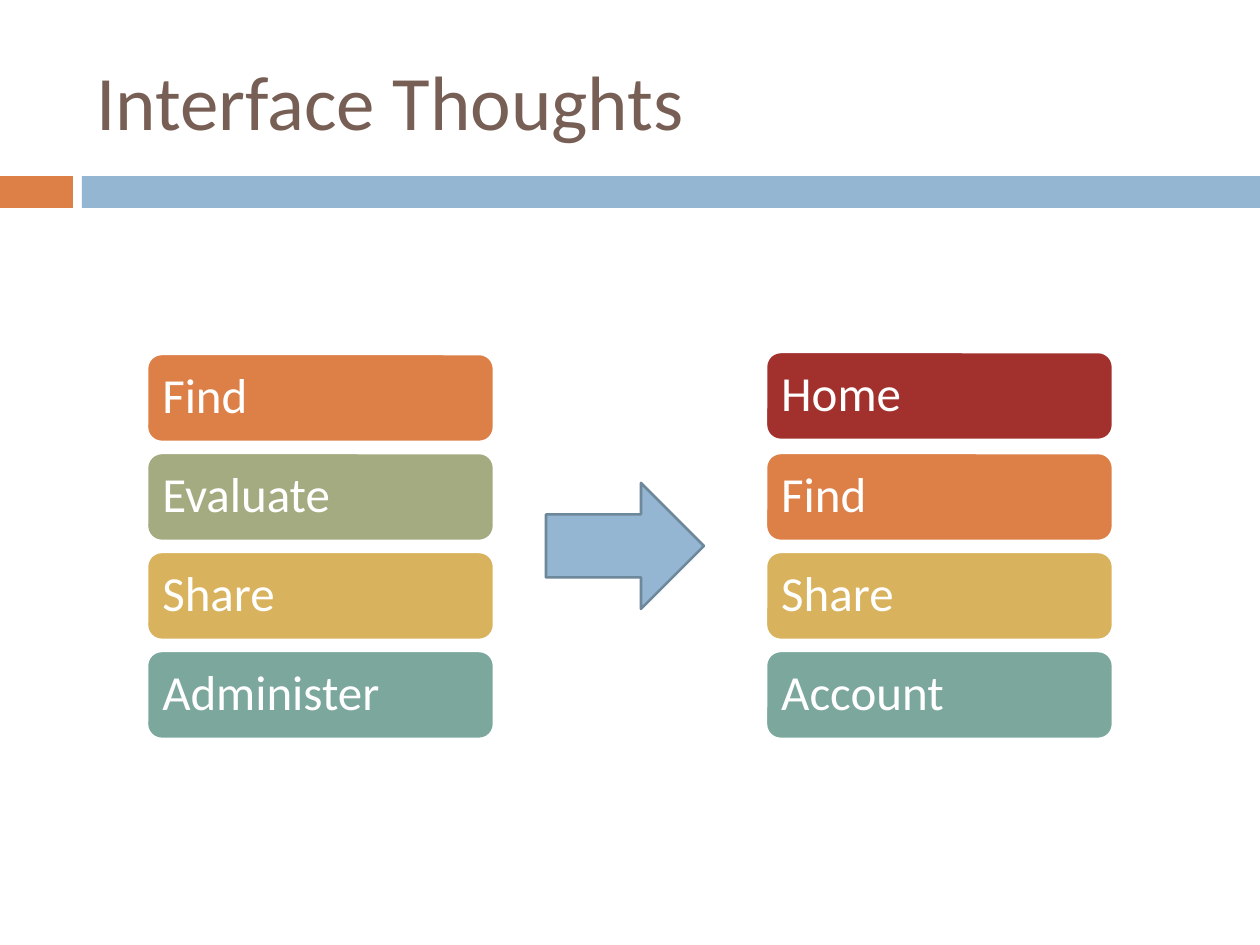
from pptx import Presentation
from pptx.dml.color import RGBColor
from pptx.enum.shapes import MSO_SHAPE
from pptx.enum.text import MSO_ANCHOR, PP_ALIGN
from pptx.util import Emu, Pt

PX = 914400 // 126
COLORS = {
    "orange": "DD8047", "blue": "94B6D2", "slate": "6D879B", "brown": "775F55",
    "green": "A5AB81", "gold": "D8B25C", "teal": "7BA79D", "red": "A2312E",
    "white": "FFFFFF",
}
TITLE = "Interface Thoughts"
BARS = [(0, 73, "orange"), (82, 1178, "blue")]  # left, width, colour
# left edge, then label, colour and vertical nudge of each box
COLUMNS = [
    (147, [("Find", "orange", 0), ("Evaluate", "green", 0),
           ("Share", "gold", 0), ("Administer", "teal", 0)]),
    (766, [("Home", "red", -2), ("Find", "orange", 0),
           ("Share", "gold", 0), ("Account", "teal", 0)]),
]
BOX_TOP, BOX_W, BOX_H, BOX_PITCH, BOX_INSET = 354, 347, 88, 99, 11


def rgb(name):
    return RGBColor.from_string(COLORS[name])


def add_block(slide, kind, box, fill, line=None):
    s = slide.shapes.add_shape(kind, *(Emu(v * PX) for v in box))
    s.shadow.inherit = False
    s.fill.solid()
    s.fill.fore_color.rgb = rgb(fill)
    if line:
        s.line.color.rgb = rgb(line)
        s.line.width = Pt(1.5)
    else:
        s.line.fill.background()
    return s


def write(s, text, size, color, line_spacing=1.0):
    tf = s.text_frame
    tf.word_wrap = True
    tf.vertical_anchor = MSO_ANCHOR.MIDDLE
    p = tf.paragraphs[0]
    p.alignment = PP_ALIGN.LEFT
    p.line_spacing = line_spacing
    r = p.add_run()
    r.text = text
    for name, value in {"name": "Calibri", "size": Pt(size)}.items():
        setattr(r.font, name, value)
    r.font.color.rgb = rgb(color)
    return tf


def main():
    prs = Presentation()
    prs.slide_width, prs.slide_height = Emu(1260 * PX), Emu(945 * PX)
    slide = prs.slides.add_slide(prs.slide_layouts[6])

    for left, width, color in BARS:
        add_block(slide, MSO_SHAPE.RECTANGLE, (left, 176, width, 32), color)

    title = slide.shapes.add_textbox(*(Emu(v * PX) for v in (84, 32, 1208 - 84 + 84 - 0 - 0 - 0, 136)))
    title.width = Emu(1124 * PX)
    write(title, TITLE, 44, "brown")

    for left, boxes in COLUMNS:
        for row, (label, color, nudge) in enumerate(boxes):
            top = BOX_TOP + row * BOX_PITCH + nudge
            s = add_block(slide, MSO_SHAPE.ROUNDED_RECTANGLE,
                          (left, top, BOX_W, BOX_H), color, "white")
            tf = write(s, label, 28, "white", 0.9)
            for side in ("left", "top", "right", "bottom"):
                setattr(tf, f"margin_{side}", Emu(BOX_INSET * PX))

    add_block(slide, MSO_SHAPE.RIGHT_ARROW, (546, 483, 158, 126), "blue", "slate")
    prs.save("out.pptx")


if __name__ == "__main__":
    main()
